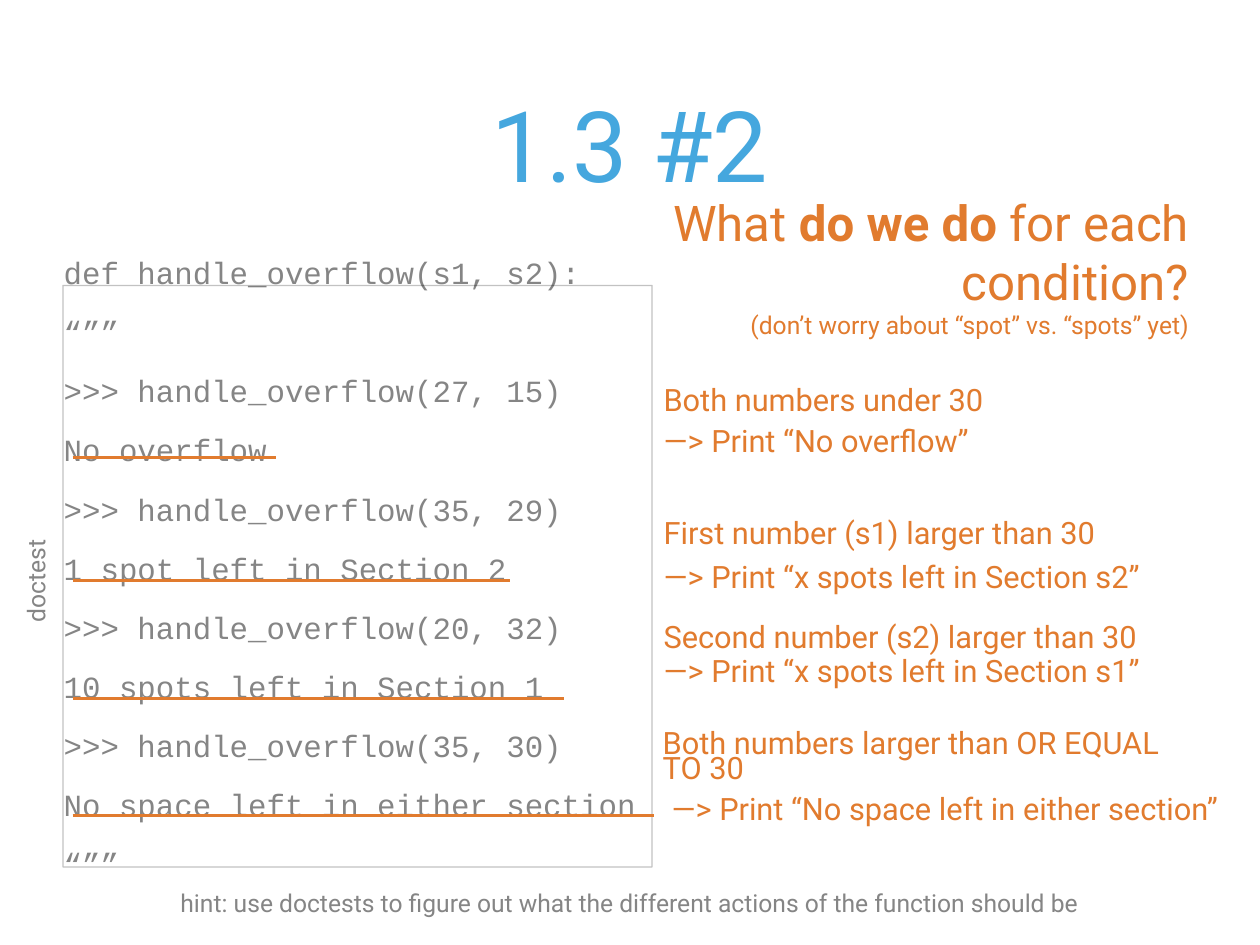
from lxml import etree
from pptx import Presentation
from pptx.dml.color import RGBColor
from pptx.enum import shapes, text
from pptx.oxml import ns

PX = 9144  # 100 px to the inch
BLUE = RGBColor(0x45, 0xA7, 0xDE)
ORANGE = RGBColor(0xE1, 0x7B, 0x2E)
GRAY = RGBColor(0x85, 0x85, 0x85)
BLACK = RGBColor(0, 0, 0)
LEFT, CENTER, RIGHT = text.PP_ALIGN.LEFT, text.PP_ALIGN.CENTER, text.PP_ALIGN.RIGHT

CODE = """def handle_overflow(s1, s2):
“””
>>> handle_overflow(27, 15)
No overflow
>>> handle_overflow(35, 29)
1 spot left in Section 2
>>> handle_overflow(20, 32)
10 spots left in Section 1
>>> handle_overflow(35, 30)
No space left in either section
“””"""

# left, top, width, height, words
CONDITIONS = [
    (743, 436, 554, 40, "Both numbers under 30"),
    (743, 586, 554, 40, "First number (s1) larger than 30"),
    (743, 688, 554, 69, "Second number (s2) larger than 30"),
    (742, 822, 596, 69, "Both numbers larger than OR EQUAL TO 30"),
]
ACTIONS = [
    (743, 482, 554, 40, "—> Print “No overflow”"),
    (743, 635, 636, 40, "—> Print “x spots left in Section s2”"),
    (743, 741, 618, 40, "—> Print “x spots left in Section s1”"),
    (752, 882, 667, 69, "—> Print “No space left in either section”"),
]
UNDERLINES = [(312, 516), (576, 655), (636, 788), (738, 920)]  # right end, height


def format_text(shape, size, color, name="Roboto", align=LEFT, spacing=None, wrap=True):
    frame = shape.text_frame
    frame.word_wrap = wrap
    frame.auto_size = text.MSO_AUTO_SIZE.NONE
    frame.vertical_anchor = text.MSO_ANCHOR.MIDDLE
    frame.margin_left = frame.margin_right = 6 * PX
    frame.margin_top = frame.margin_bottom = 6 * PX
    for paragraph in frame.paragraphs:
        paragraph.alignment = align
        paragraph.line_spacing = spacing
        paragraph.font.size = size * 12700
        paragraph.font.name = name
        paragraph.font.color.rgb = color


def add_text(left, top, width, height, words, *style, **options):
    box = slide.shapes.add_textbox(left * PX, top * PX, width * PX, height * PX)
    box.text_frame.text = words
    format_text(box, *style, **options)
    return box


presentation = Presentation()
presentation.slide_width = 1422 * PX
presentation.slide_height = 1066 * PX
slide = presentation.slides.add_slide(presentation.slide_layouts[5])

title = slide.shapes.title
title.left, title.top, title.width, title.height = 139 * PX, 28 * PX, 1144 * PX, 267 * PX
title.text_frame.text = "1.3 #2"
format_text(title, 80, BLUE, align=CENTER)

add_text(66, 256, 656, 744, CODE, 25, GRAY, name="Courier New", spacing=1.6, wrap=False)

frame_shape = slide.shapes.add_shape(
    shapes.MSO_SHAPE.RECTANGLE, 71 * PX, 322 * PX, 665 * PX, 656 * PX)
frame_shape.shadow.inherit = False
frame_shape.fill.background()
frame_shape.line.width = 12700
frame_shape.line.color.rgb = BLACK
line_color = frame_shape.line._ln.find(".//" + ns.qn("a:srgbClr"))
etree.SubElement(line_color, ns.qn("a:alpha"), val="23000")

for right, height in UNDERLINES:
    underline = slide.shapes.add_connector(
        shapes.MSO_CONNECTOR.STRAIGHT, 82 * PX, height * PX, right * PX, height * PX)
    underline.line.color.rgb = ORANGE
    underline.line.width = 2 * 12700
    etree.SubElement(underline._element.spPr, ns.qn("a:effectLst"))

doctest_label = add_text(-14, 633, 108, 44, "doctest", 20, GRAY, align=CENTER, wrap=False)
doctest_label.rotation = 270
add_text(165, 996, 1091, 44,
         "hint: use doctests to figure out what the different actions of the function should be",
         20, GRAY, align=CENTER, wrap=False)

for note in CONDITIONS + ACTIONS:
    add_text(*note, 25, ORANGE, spacing=0.7)

question = add_text(692, 211, 656, 178, "What ", 40, ORANGE, align=RIGHT)
heading = question.text_frame.paragraphs[0]
emphasis = heading.add_run()
emphasis.text = "do we do "
emphasis.font.bold = True
heading.add_run().text = "for each condition?"
question.text_frame.add_paragraph().text = "(don’t worry about “spot” vs. “spots” yet)"
format_text(question, 20, ORANGE, align=RIGHT)
heading.font.size = 40 * 12700

presentation.save("out.pptx")
